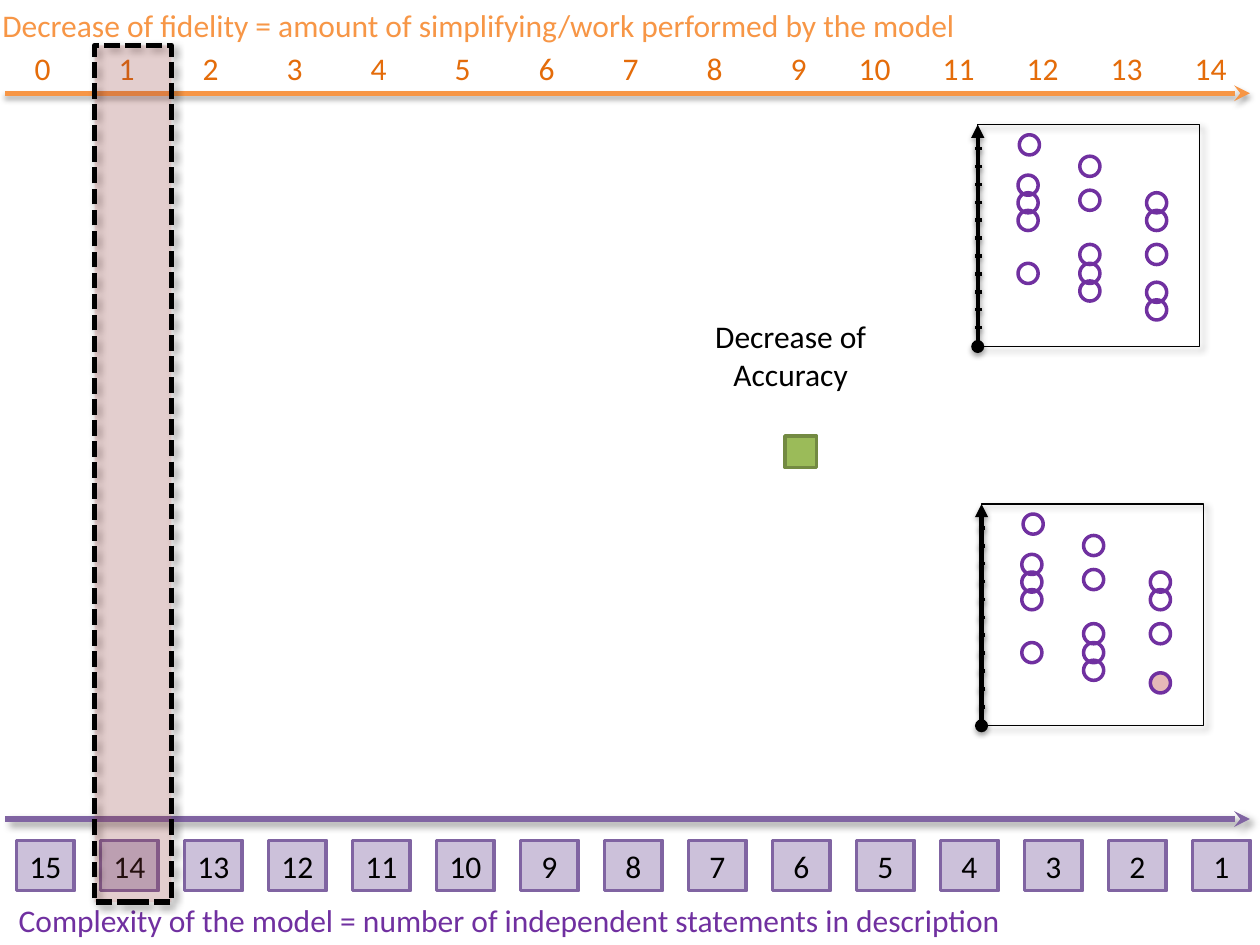
from lxml.etree import SubElement
from pptx import Presentation
from pptx.dml.color import RGBColor
from pptx.enum.dml import MSO_LINE
from pptx.enum.shapes import MSO_CONNECTOR, MSO_SHAPE
from pptx.enum.text import MSO_AUTO_SIZE, PP_ALIGN
from pptx.oxml.ns import qn
from pptx.util import Inches, Pt

# Content
FIDELITY = "Decrease of fidelity = amount of simplifying/work performed by the model"
COMPLEXITY = "Complexity of the model = number of independent statements in description"
ACCURACY = "Decrease of Accuracy"
STEPS = 15

# Circle positions inside a plot: column offset, then row offsets
LEFT_COLUMNS = [
    (0.33, [0.08]),
    (0.32, [0.4, 0.54, 0.68, 1.1]),
    (0.81, [0.25, 0.52, 0.95, 1.1, 1.24]),
    (1.34, [0.54, 0.68, 0.95]),
]
PLOTS = [
    {"origin": (7.76, 0.99), "last": [1.25, 1.39], "last_fill": None},
    {"origin": (7.79, 4.0), "last": [1.34], "last_fill": "E6B9B8"},
]

# Geometry in inches
PITCH = 2 / 3
CELL_WIDTH, CELL_HEIGHT = 0.46, 0.4
PLOT_SIDE, CIRCLE = 1.76, 0.16
TICKS, FIRST_TICK, TICK_GAP = 11, 0.19, 0.142

# Shadows: opacity in percent, blur and distance in points, direction in degrees
AXIS_SHADOW = (35, 3.1, 1.8, 90)
TICK_SHADOW = (38, 3.1, 1.6, 90)
FRAME_SHADOW = (40, 4, 3, 45)


def color(hex_value):
    return RGBColor.from_string(hex_value)


def set_shadow(shape, shadow=None):
    effects = SubElement(shape._element.spPr, qn("a:effectLst"))
    if shadow:
        opacity, blur, distance, direction = shadow
        outer = SubElement(effects, qn("a:outerShdw"), blurRad=str(int(Pt(blur))),
                           dist=str(int(Pt(distance))), dir=str(direction * 60000),
                           rotWithShape="0")
        black = SubElement(outer, qn("a:srgbClr"), val="000000")
        SubElement(black, qn("a:alpha"), val=str(opacity * 1000))


def add_line(parent, start, end, line_color, width, shadow, head=None, tail=None):
    line = parent.shapes.add_connector(MSO_CONNECTOR.STRAIGHT,
                                       *(Inches(v) for v in (*start, *end)))
    line.line.color.rgb = color(line_color)
    line.line.width = Pt(width)
    for tag, kind in (("a:headEnd", head), ("a:tailEnd", tail)):
        if kind:
            SubElement(line.line._get_or_add_ln(), qn(tag), type=kind)
    set_shadow(line, shadow)


def add_shape(parent, kind, place, fill, line_color, width, shadow=None,
              opacity=None, dash=None):
    shape = parent.shapes.add_shape(kind, *(Inches(v) for v in place))
    if fill:
        shape.fill.solid()
        shape.fill.fore_color.rgb = color(fill)
    else:
        shape.fill.background()
    if opacity:
        tint = shape._element.spPr.find(".//" + qn("a:srgbClr"))
        SubElement(tint, qn("a:alpha"), val=str(opacity * 1000))
    shape.line.color.rgb = color(line_color)
    shape.line.width = Pt(width)
    if dash:
        shape.line.dash_style = dash
    set_shadow(shape, shadow)
    return shape


def write(shape, text, text_color, align):
    frame = shape.text_frame
    frame.word_wrap = True
    frame.auto_size = MSO_AUTO_SIZE.SHAPE_TO_FIT_TEXT
    frame.text = text
    for para in frame.paragraphs:
        para.alignment = align
        for span in para.runs:
            span.font.name = "Calibri"
            span.font.size = Pt(18)
            span.font.color.rgb = color(text_color)


def add_label(parent, place, text, text_color, align=PP_ALIGN.LEFT):
    box = parent.shapes.add_textbox(*(Inches(v) for v in place))
    write(box, text, text_color, align)


def add_plot(page, origin, last, last_fill):
    group = page.shapes.add_group_shape()
    left, top = origin
    add_line(group, (left, top + PLOT_SIDE), (left, top), "000000", 2.5,
             AXIS_SHADOW, "oval", "triangle")
    for i in range(TICKS):
        y = top + FIRST_TICK + i * TICK_GAP
        add_line(group, (left - 0.02, y), (left + 0.03, y), "000000", 2, TICK_SHADOW)
    circles = [(x, rows, None) for x, rows in LEFT_COLUMNS]
    for x, rows, fill in circles + [(1.34, last, last_fill)]:
        for y in rows:
            add_shape(group, MSO_SHAPE.OVAL, (left + x, top + y, CIRCLE, CIRCLE),
                      fill, "7030A0", 2)
    add_shape(group, MSO_SHAPE.RECTANGLE, (left, top, PLOT_SIDE, PLOT_SIDE),
              None, "000000", 0.75, FRAME_SHADOW)


def add_scales(page):
    group = page.shapes.add_group_shape()
    for step in range(STEPS):
        x = step * PITCH
        cell = add_shape(group, MSO_SHAPE.RECTANGLE,
                         (0.13 + x, 6.67, CELL_WIDTH, CELL_HEIGHT),
                         "CCC1DA", "8064A2", 2)
        write(cell, str(STEPS - step), "000000", PP_ALIGN.CENTER)
        add_label(group, (0.04 + x, 0.34, CELL_WIDTH, CELL_HEIGHT),
                  str(step), "E46C0A", PP_ALIGN.RIGHT)
    add_label(group, (-0.08, 0, 8.25, 0.4), FIDELITY, "F79646")
    for y, line_color, shadow in ((0.74, "F79646", AXIS_SHADOW),
                                  (6.5, "8064A2", FRAME_SHADOW)):
        add_line(group, (0.04, y), (9.92, y), line_color, 3, shadow, tail="stealth")
    add_label(group, (0.05, 7.1, 8.25, 0.4), COMPLEXITY, "7030A0")


def main():
    deck = Presentation()
    deck.slide_width, deck.slide_height = Inches(10), Inches(7.5)
    page = deck.slides.add_slide(deck.slide_layouts[6])

    # Plots and accuracy marker
    for plot in PLOTS:
        add_plot(page, **plot)
    add_shape(page, MSO_SHAPE.RECTANGLE, (6.23, 3.46, 0.25, 0.25),
              "9BBB59", "738A42", 2)

    # Scales, highlighted step and accuracy label
    add_scales(page)
    add_shape(page, MSO_SHAPE.RECTANGLE, (0.75, 0.36, 0.61, 6.8), "C0504D",
              "000000", 3, FRAME_SHADOW, opacity=19, dash=MSO_LINE.SQUARE_DOT)
    add_label(page, (5.43, 2.47, 1.69, 0.71), ACCURACY, "000000", PP_ALIGN.CENTER)

    deck.save("out.pptx")


if __name__ == "__main__":
    main()
